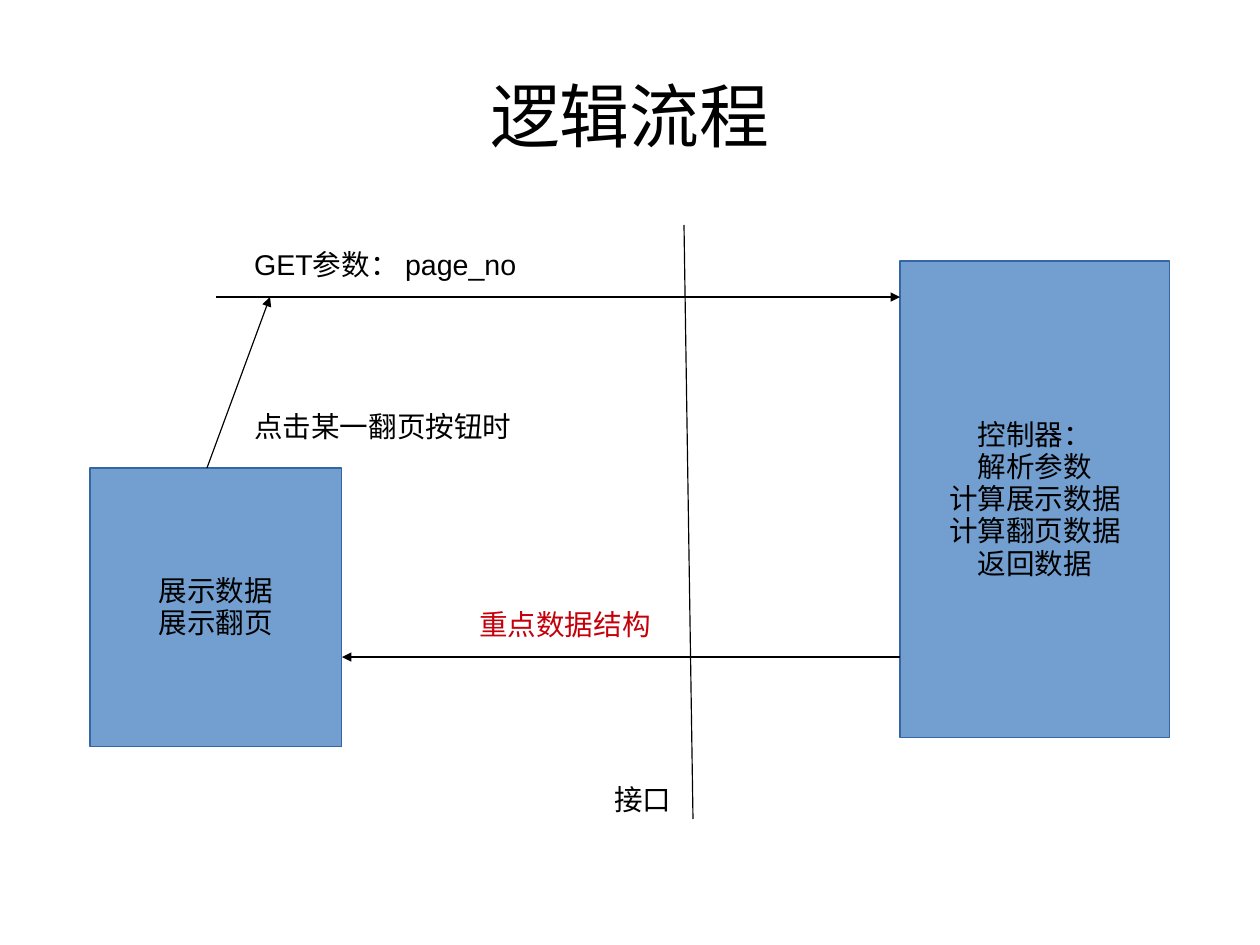
"""Build a slide with the logic flow of paging between a page and its controller."""
from typing import NamedTuple

from lxml.etree import SubElement
from pptx import Presentation
from pptx.dml.color import RGBColor
from pptx.enum.shapes import MSO_CONNECTOR, MSO_SHAPE
from pptx.enum.text import MSO_ANCHOR, PP_ALIGN
from pptx.oxml.ns import qn
from pptx.shapes.autoshape import Shape
from pptx.slide import Slide
from pptx.util import Cm, Pt

BLACK = RGBColor(0x00, 0x00, 0x00)
RED = RGBColor(0xC5, 0x00, 0x0B)
FILL = RGBColor(0x72, 0x9F, 0xCF)
EDGE = RGBColor(0x34, 0x65, 0xA4)
FONT = "Arial"


class Box(NamedTuple):
    left: float
    top: float
    width: float
    height: float
    lines: tuple[str, ...]


class Label(NamedTuple):
    left: float
    top: float
    width: float
    text: str
    color: RGBColor = BLACK


class Link(NamedTuple):
    start: tuple[float, float]
    end: tuple[float, float]
    arrow: bool = True


BOXES = (
    Box(20, 5.8, 6, 10.6,
        ("控制器：", "解析参数", "计算展示数据", "计算翻页数据", "返回数据")),
    Box(2, 10.4, 5.6, 6.2, ("展示数据", "展示翻页")),
)
LINKS = (
    Link((4.8, 6.6), (20, 6.6)),
    Link((20, 14.6), (7.6, 14.6)),
    Link((4.6, 10.4), (6, 6.6)),
    Link((15.2, 5), (15.4, 18.2), arrow=False),
)
LABELS = (
    Label(5.4, 5.4, 6.68, "GET参数： page_no"),
    Label(5.4, 9, 6.22, "点击某一翻页按钮时"),
    Label(10.4, 13.4, 4.32, "重点数据结构", RED),
    Label(13.4, 17.3, 1.78, "接口"),
)


def write(shape: Shape, lines: tuple[str, ...], size: float = 18,
          color: RGBColor = BLACK, align: PP_ALIGN = PP_ALIGN.LEFT,
          anchor: MSO_ANCHOR = MSO_ANCHOR.TOP) -> None:
    frame = shape.text_frame
    frame.word_wrap = False
    frame.vertical_anchor = anchor
    frame.margin_left = frame.margin_right = Cm(0.25)
    frame.margin_top, frame.margin_bottom = Cm(0.15), Cm(0.13)
    for index, line in enumerate(lines):
        para = frame.add_paragraph() if index else frame.paragraphs[0]
        para.alignment = align
        para.line_spacing = 0.94
        run = para.add_run()
        run.text = line
        run.font.name = FONT
        run.font.size = Pt(size)
        run.font.color.rgb = color


def add_title(slide: Slide, text: str) -> None:
    shape = slide.shapes.add_textbox(Cm(1.4), Cm(0.84), Cm(25.2), Cm(3.5))
    write(shape, (text,), 44, align=PP_ALIGN.CENTER, anchor=MSO_ANCHOR.MIDDLE)
    frame = shape.text_frame
    frame.word_wrap = True
    frame.margin_left = frame.margin_right = frame.margin_bottom = 0
    frame.margin_top = Cm(0.1)


def add_box(slide: Slide, box: Box) -> None:
    shape = slide.shapes.add_shape(
        MSO_SHAPE.RECTANGLE, Cm(box.left), Cm(box.top), Cm(box.width), Cm(box.height))
    shape.shadow.inherit = False
    shape.fill.solid()
    shape.fill.fore_color.rgb = FILL
    shape.line.color.rgb = EDGE
    shape.line.width = Pt(0.75)
    write(shape, box.lines, align=PP_ALIGN.CENTER, anchor=MSO_ANCHOR.MIDDLE)


def add_link(slide: Slide, link: Link) -> None:
    ends = (Cm(value) for value in link.start + link.end)
    line = slide.shapes.add_connector(MSO_CONNECTOR.STRAIGHT, *ends)
    line.line.color.rgb = BLACK
    line.line.width = Pt(0.75)
    if link.arrow:
        SubElement(line.line._get_or_add_ln(), qn("a:tailEnd"), type="triangle")
    SubElement(line._element.spPr, qn("a:effectLst"))


def add_label(slide: Slide, label: Label) -> None:
    shape = slide.shapes.add_textbox(
        Cm(label.left), Cm(label.top), Cm(label.width), Cm(1.1))
    write(shape, (label.text,), color=label.color)


def main() -> None:
    deck = Presentation()
    deck.slide_width, deck.slide_height = Cm(28), Cm(21)
    slide = deck.slides.add_slide(deck.slide_layouts[6])
    add_title(slide, "逻辑流程")
    for box in BOXES:
        add_box(slide, box)
    for link in LINKS:
        add_link(slide, link)
    for label in LABELS:
        add_label(slide, label)
    deck.save("out.pptx")


if __name__ == "__main__":
    main()
